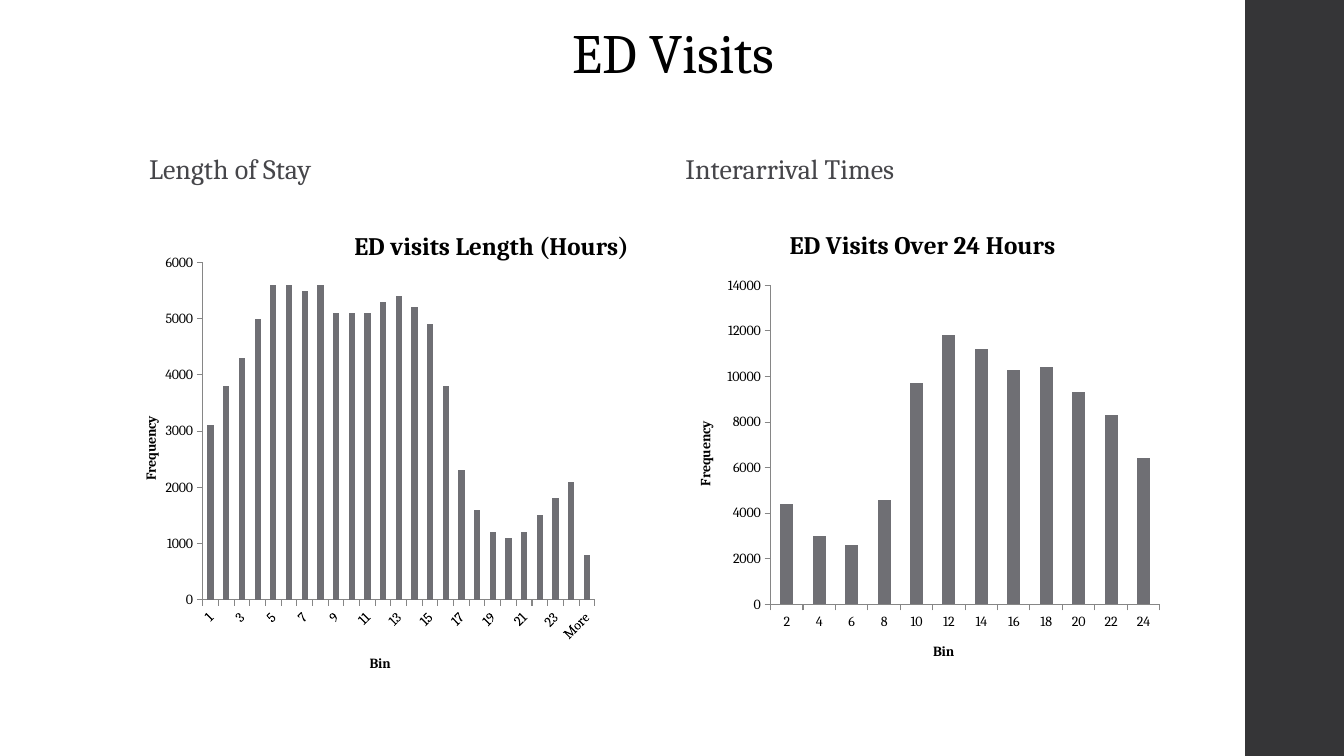
from dataclasses import dataclass

from pptx import Presentation
from pptx.chart.data import CategoryChartData as Data
from pptx.dml.color import RGBColor as RGB
from pptx.enum.chart import XL_CHART_TYPE as Kind, XL_TICK_MARK as Tick
from pptx.enum.shapes import MSO_SHAPE as Form
from pptx.enum.text import MSO_ANCHOR as Anchor, PP_ALIGN as Align
from pptx.oxml import parse_xml
from pptx.oxml.ns import nsdecls
from pptx.util import Inches, Pt


@dataclass(frozen=True)
class Theme:
    """Colours, font and type sizes of the slide."""
    face: str = "Cambria"
    ink: RGB = RGB(0, 0, 0)
    soft: RGB = RGB(0x46, 0x46, 0x4A)
    band: RGB = RGB(0x35, 0x35, 0x37)
    bar: RGB = RGB(0x6F, 0x6F, 0x74)
    axis: RGB = RGB(0x86, 0x86, 0x86)
    title: float = 39.6
    head: float = 20
    name: float = 18
    label: float = 10


THEME = Theme()
COLS = (1.38, 6.7)
WIDE = 4.9
STAY = [3100, 3800, 4300, 5000, 5600, 5600, 5500, 5600, 5100, 5100, 5100, 5300, 5400,
        5200, 4900, 3800, 2300, 1600, 1200, 1100, 1200, 1500, 1800, 2100, 800]
GAPS = [4400, 3000, 2600, 4600, 9700, 11800, 11200, 10300, 10400, 9300, 8300, 6400]


def set_font(font, size, color, bold=False):
    """Style a font with the theme face."""
    font.name, font.size, font.bold = THEME.face, Pt(size), bold
    font.color.rgb = color


def add_band(slide):
    """Draw the dark band at the right edge."""
    band = slide.shapes.add_shape(Form.RECTANGLE, Inches(12.35), 0, Inches(1), Inches(7.5))
    band.shadow.inherit = False
    band.fill.solid()
    band.fill.fore_color.rgb = THEME.band
    band.line.fill.background()


def add_text(slide, text, box, size, color, align=Align.LEFT, space=0.95):
    """Add one line of text that sits at the bottom of its box."""
    frame = slide.shapes.add_textbox(*map(Inches, box)).text_frame
    frame.word_wrap = True
    frame.vertical_anchor = Anchor.BOTTOM
    para = frame.paragraphs[0]
    para.text, para.alignment, para.line_spacing = text, align, space
    set_font(para.font, size, color)


def set_place(node, index, spots):
    """Give a chart part a manual layout."""
    for old in node.xpath("./c:layout"):
        node.remove(old)
    body = "".join(f'<c:{tag} val="{val}"/>' for tag, val in spots)
    node.insert(index, parse_xml(
        f'<c:layout {nsdecls("c")}><c:manualLayout>{body}</c:manualLayout></c:layout>'))


def set_axis(axis, title):
    """Style an axis and its title."""
    axis.has_major_gridlines = False
    axis.major_tick_mark, axis.minor_tick_mark = Tick.OUTSIDE, Tick.NONE
    axis.format.line.color.rgb = THEME.axis
    set_font(axis.tick_labels.font, THEME.label, THEME.ink)
    para = axis.axis_title.text_frame.paragraphs[0]
    para.text = title
    set_font(para.font, THEME.label, THEME.ink, True)


def add_bars(slide, title, cats, vals, box, top, step):
    """Add a column chart of frequencies and return it."""
    data = Data()
    data.categories = cats
    data.add_series("Frequency", vals)
    chart = slide.shapes.add_chart(Kind.COLUMN_CLUSTERED, *map(Inches, box), data).chart
    chart.has_legend = False
    set_font(chart.font, THEME.label, THEME.ink)
    chart.has_title = True
    para = chart.chart_title.text_frame.paragraphs[0]
    para.text = title
    set_font(para.font, THEME.name, THEME.ink, True)
    chart.chart_title.include_in_layout = False
    set_axis(chart.category_axis, "Bin")
    set_axis(chart.value_axis, "Frequency")
    scale = chart.value_axis
    scale.minimum_scale, scale.maximum_scale, scale.major_unit = 0, top, step
    plot = chart.plots[0]
    plot.gap_width, plot.vary_by_categories = 150, False
    fill = plot.series[0].format.fill
    fill.solid()
    fill.fore_color.rgb = THEME.bar
    return chart


def main():
    """Build the slide and save it."""
    deck = Presentation()
    deck.slide_width, deck.slide_height = Inches(13.33), Inches(7.5)
    slide = deck.slides.add_slide(deck.slide_layouts[6])
    add_band(slide)
    add_text(slide, "ED Visits", (1.38, 0.4, 10.6, 0.5), THEME.title, THEME.ink,
             Align.CENTER, 0.9)
    for left, text in zip(COLS, ("Length of Stay", "Interarrival Times")):
        add_text(slide, text, (left, 1.09, WIDE, 0.8), THEME.head, THEME.soft)
    hours = [str(n) for n in range(1, 25)] + ["More"]
    stay = add_bars(slide, "ED visits Length (Hours)", hours, STAY,
                    (COLS[0], 2.04, WIDE, 4.71), 6000, 1000)
    set_place(stay.element.xpath("./c:chart/c:title")[0], 1,
              [("xMode", "edge"), ("yMode", "edge"), ("x", 0.43), ("y", 0.04)])
    set_place(stay.element.xpath("./c:chart/c:plotArea")[0], 0,
              [("layoutTarget", "inner"), ("xMode", "edge"), ("yMode", "edge"),
               ("x", 0.13), ("y", 0.12), ("w", 0.8), ("h", 0.71)])
    add_bars(slide, "ED Visits Over 24 Hours", [str(n) for n in range(2, 25, 2)], GAPS,
             (COLS[1], 2.07, WIDE, 4.68), 14000, 2000)
    deck.save("out.pptx")


if __name__ == "__main__":
    main()
